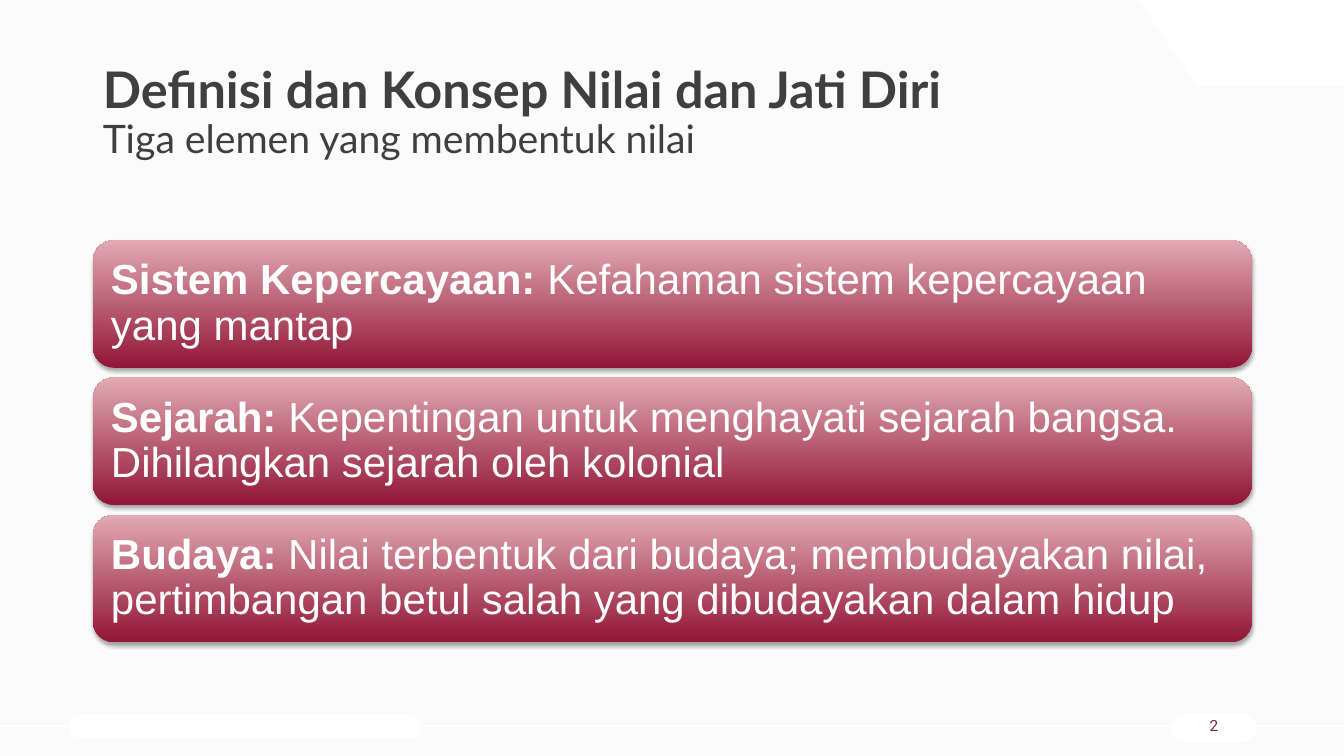
from lxml import etree
from pptx import Presentation
from pptx import util as u
from pptx.dml.color import RGBColor
from pptx.enum import shapes, text
from pptx.oxml.ns import qn

WHITE = RGBColor(0xFF, 0xFF, 0xFF)
PAPER = RGBColor(0xFB, 0xFB, 0xFB)
GREY = RGBColor(0x3F, 0x3F, 0x3F)
WINE = RGBColor(0x83, 0x23, 0x3E)
DARK = RGBColor(0x91, 0x15, 0x36)
PINK = RGBColor(0xE1, 0xAA, 0xB1)
LEFT, WIDE = u.Cm(2.34), u.Cm(29.21)


def write(frame, *parts, font, color, align=text.PP_ALIGN.LEFT, side=0.25, edge=0.13):
    """Each part is (words, size, bold); a line break is written as None."""
    frame.word_wrap = True
    frame.auto_size = text.MSO_AUTO_SIZE.NONE
    frame.vertical_anchor = text.MSO_ANCHOR.MIDDLE
    frame.margin_left = frame.margin_right = u.Cm(side)
    frame.margin_top = frame.margin_bottom = u.Cm(edge)
    para = frame.paragraphs[0]
    para.alignment = align
    para.line_spacing = 0.9
    for part in parts:
        if part is None:
            para.add_line_break()
            continue
        run = para.add_run()
        run.text, size, run.font.bold = part
        run.font.size = u.Pt(size)
        run.font.name = font
        run.font.color.rgb = color


def plain(shape):
    shape.shadow.inherit = False
    shape.fill.solid()
    shape.fill.fore_color.rgb = WHITE
    shape.line.fill.background()


deck = Presentation()
deck.slide_width, deck.slide_height = u.Cm(33.87), u.Cm(19.05)
slide = deck.slides.add_slide(deck.slide_layouts[5])
slide.background.fill.solid()
slide.background.fill.fore_color.rgb = PAPER
draw = slide.shapes
ROUND = shapes.MSO_SHAPE.ROUNDED_RECTANGLE

# Footer line and its two pills
rule = draw.add_connector(shapes.MSO_CONNECTOR.STRAIGHT, 0, u.Cm(18.29), deck.slide_width, u.Cm(18.29))
rule.line.color.rgb = WHITE
rule.line.width = u.Pt(1.5)
etree.SubElement(rule._element.spPr, qn("a:effectLst"))
for x, y, w, h in [(1.75, 18, 8.84, 0.6), (29.54, 17.98, 2.11, 0.72)]:
    pill = draw.add_shape(ROUND, u.Cm(x), u.Cm(y), u.Cm(w), u.Cm(h))
    pill.adjustments[0] = 0.44
    plain(pill)

# Corner panel
pen = draw.build_freeform(u.Cm(28.7), 0)
pen.add_line_segments([(u.Cm(x), u.Cm(y)) for x, y in [(33.87, 0), (33.87, 2.16), (30.15, 2.16)]])
plain(pen.convert_to_shape())

# Title
title = draw.title
title.left, title.top, title.width, title.height = LEFT, u.Cm(1.02), WIDE, u.Cm(3.68)
write(title.text_frame, ("Definisi dan Konsep Nilai dan Jati Diri ", 36, True), None,
      ("Tiga elemen yang membentuk nilai", 28, False), font="Lato", color=GREY)

# Page number
page = draw.add_textbox(u.Cm(29.54), u.Cm(17.86), u.Cm(2.11), u.Cm(0.89))
write(page.text_frame, ("2", 11, False), font="Roboto", color=WINE, align=text.PP_ALIGN.CENTER)

# Three cards
cards = [
    ("Sistem Kepercayaan:", " Kefahaman sistem kepercayaan yang mantap"),
    ("Sejarah:", " Kepentingan untuk menghayati sejarah bangsa. Dihilangkan sejarah oleh kolonial"),
    ("Budaya:", " Nilai terbentuk dari budaya; membudayakan nilai, "
                "pertimbangan betul salah yang dibudayakan dalam hidup"),
]
for row, (head, body) in enumerate(cards):
    card = draw.add_shape(ROUND, LEFT, u.Cm(6.05 + 3.46 * row), WIDE, u.Cm(3.22))
    card.line.fill.background()
    card.fill.gradient()
    card.fill.gradient_angle = 90
    for stop, color, spot in zip(card.fill.gradient_stops, (DARK, PINK), (0, 1)):
        stop.color.rgb = color
        stop.position = spot
    # Soft shadow below the card
    card.shadow.inherit = False
    glow = etree.SubElement(card._element.spPr.find(qn("a:effectLst")), qn("a:outerShdw"),
                            blurRad=str(u.Pt(3.1)), dist=str(u.Pt(1.8)), dir="5400000", rotWithShape="0")
    tint = etree.SubElement(glow, qn("a:srgbClr"), val="000000")
    etree.SubElement(tint, qn("a:alpha"), val="35000")
    write(card.text_frame, (head, 30, True), (body, 30, False),
          font="Arial", color=WHITE, side=0.3, edge=0.3)

deck.save("out.pptx")
